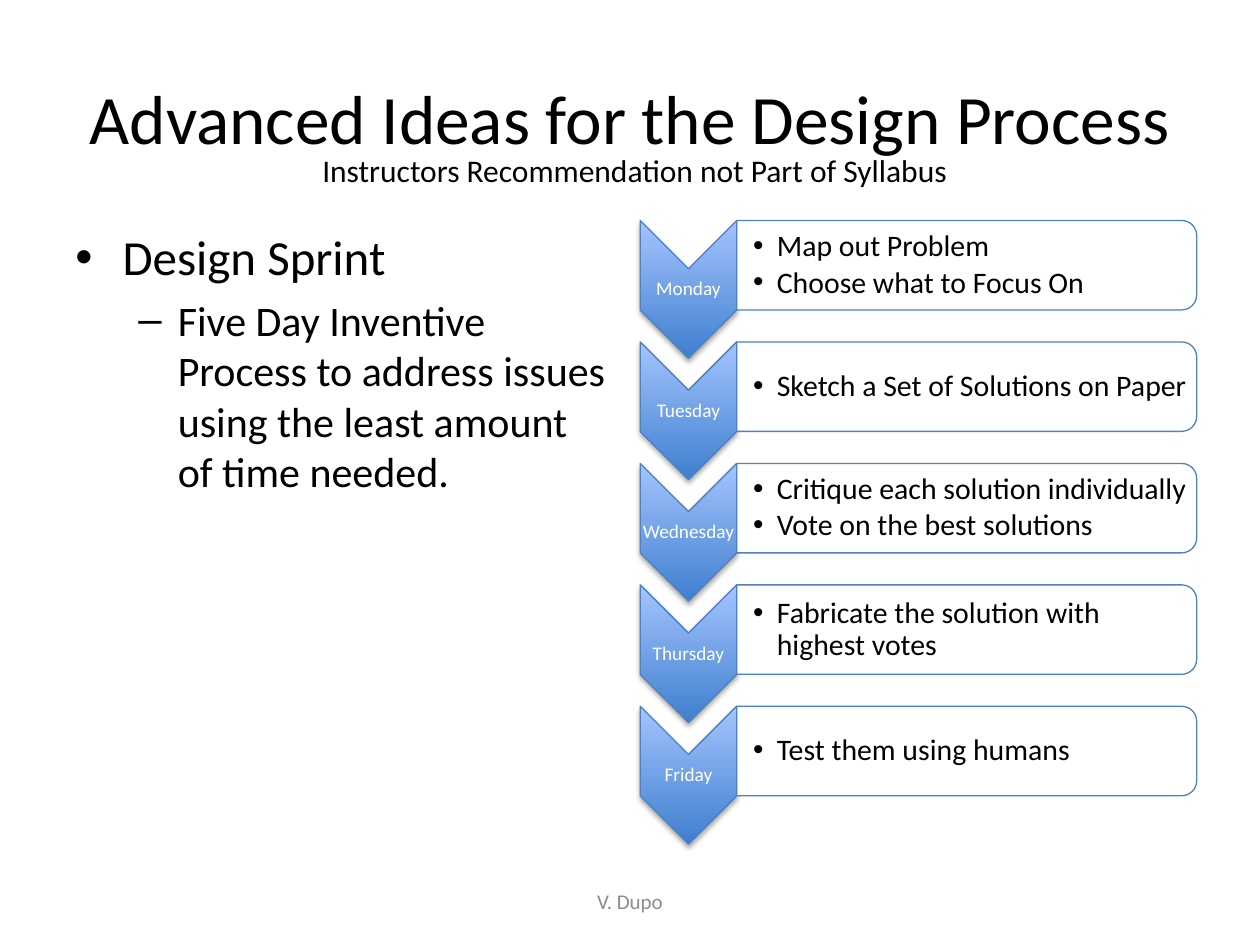
from pptx import Presentation
from pptx.dml.color import RGBColor
from pptx.enum.shapes import MSO_SHAPE
from pptx.enum.text import MSO_ANCHOR, PP_ALIGN
from pptx.oxml import parse_xml
from pptx.oxml.ns import nsdecls, qn
from pptx.util import Pt

CHEVRON = MSO_SHAPE.CHEVRON
CARD = MSO_SHAPE.ROUND_2_SAME_RECTANGLE
TOP, MIDDLE = MSO_ANCHOR.TOP, MSO_ANCHOR.MIDDLE
LEFT, CENTER = PP_ALIGN.LEFT, PP_ALIGN.CENTER

DAYS = [
    ("Monday", ["Map out Problem", "Choose what to Focus On"]),
    ("Tuesday", ["Sketch a Set of Solutions on Paper"]),
    ("Wednesday", ["Critique each solution individually",
                   "Vote on the best solutions"]),
    ("Thursday", ["Fabricate the solution with highest votes"]),
    ("Friday", ["Test them using humans"]),
]


def color(hex_code):
    return RGBColor.from_string(hex_code)


class Deck:
    font, ink, edge = "Calibri", "000000", "4F81BD"
    dark, light = "3F7FCE", "A4C4FF"

    def __init__(self):
        self.prs = Presentation()
        self.prs.slide_width, self.prs.slide_height = Pt(720), Pt(540)
        self.slide = self.prs.slides.add_slide(self.prs.slide_layouts[5])

    def style(self, para, size, ink=None, align=LEFT):
        para.alignment = align
        for run in para.runs:
            run.font.name, run.font.size = self.font, Pt(size)
            run.font.color.rgb = color(ink or self.ink)

    def title(self, text, x, y, w, h, size):
        shape = self.slide.shapes.title
        shape.left, shape.top, shape.width, shape.height = map(Pt, (x, y, w, h))
        frame = shape.text_frame
        frame.text = text
        frame.vertical_anchor = MIDDLE
        self.style(frame.paragraphs[0], size, align=CENTER)

    def text(self, lines, x, y, w, h, size, ink=None, align=LEFT,
             anchor=TOP, wrap=True, pads=None):
        box = self.slide.shapes.add_textbox(*map(Pt, (x, y, w, h)))
        frame = box.text_frame
        frame.word_wrap, frame.vertical_anchor = wrap, anchor
        if pads:
            frame.margin_left = Pt(pads[0])
            frame.margin_top = frame.margin_right = frame.margin_bottom = Pt(pads[1])
        frame.text = "\n".join(lines)
        for para in frame.paragraphs:
            self.style(para, size, ink, align)
        return frame.paragraphs

    def bullet(self, para, mark, left, hang):
        props = para._p.get_or_add_pPr()
        props.set("marL", str(Pt(left)))
        props.set("indent", str(-Pt(hang)))
        props.append(parse_xml(f'<a:buFont {nsdecls("a")} typeface="Arial"/>'))
        props.append(parse_xml(f'<a:buChar {nsdecls("a")} char="{mark}"/>'))

    def turned(self, kind, x, y, w, h):
        """Add a shape turned 90 degrees that covers the given area."""
        shape = self.slide.shapes.add_shape(
            kind, Pt(x + (w - h) / 2), Pt(y + (h - w) / 2), Pt(h), Pt(w))
        shape.rotation = 90
        shape.line.color.rgb, shape.line.width = color(self.edge), Pt(0.75)
        shape.shadow.inherit = False
        return shape

    def arrow(self, x, y, w, h):
        shape = self.turned(CHEVRON, x, y, w, h)
        shape.fill.gradient()
        shape.fill.gradient_angle = 90
        for stop, tone in zip(shape.fill.gradient_stops, (self.dark, self.light)):
            stop.color.rgb = color(tone)
        props = shape._element.spPr
        props.find(qn("a:gradFill")).set("rotWithShape", "0")
        props.find(qn("a:effectLst")).append(parse_xml(
            f'<a:outerShdw {nsdecls("a")} blurRad="{Pt(3.1)}" dist="{Pt(1.8)}" '
            'dir="5400000" rotWithShape="0"><a:srgbClr val="000000">'
            '<a:alpha val="35000"/></a:srgbClr></a:outerShdw>'))

    def card(self, x, y, w, h):
        shape = self.turned(CARD, x, y, w, h)
        shape.fill.solid()
        shape.fill.fore_color.rgb = color("FFFFFF")
        tone = shape._element.spPr.find(qn("a:solidFill"))[0]
        tone.append(parse_xml(f'<a:alpha {nsdecls("a")} val="90000"/>'))

    def day(self, name, tasks, y):
        x, w, high = 365.8, 55.2, 51.1
        self.arrow(x, y, w, 78.8)
        for para in self.text([name], x, y + 27.4, w, 24, 11, "FFFFFF",
                              CENTER, MIDDLE, pads=(0.7, 0.7)):
            para.line_spacing = 0.9
        self.card(x + w, y, 262.8, high)
        for para in self.text(tasks, x + w, y + 2.5, 260.6, 46.1, 17,
                              anchor=MIDDLE, pads=(9.4, 0.7)):
            self.bullet(para, "•", 13.5, 13.5)
            para.line_spacing, para.space_after = 0.9, Pt(2.5)


def main():
    deck = Deck()

    # Heading
    deck.title("Advanced Ideas for the Design Process", 36, 21.6, 648, 90, 39.6)

    # Left column
    head, note = deck.text(
        ["Design Sprint", "Five Day Inventive Process to address issues "
         "using the least amount of time needed."], 36, 126, 318.2, 356.4, 24)
    deck.bullet(head, "•", 27, 27)
    deck.style(head, 28)
    deck.bullet(note, "–", 58.5, 22.5)
    note.space_before = Pt(5)

    # Five days
    for row, (name, tasks) in enumerate(DAYS):
        deck.day(name, tasks, 126 + 69.4 * row)

    # Subtitle and footer
    deck.text(["Instructors Recommendation not Part of Syllabus"],
              177.1, 82.8, 377.3, 29, 18, wrap=False)
    deck.text(["V. Dupo"], 246, 500.5, 228, 28.8, 12, "8C8C8C", CENTER, MIDDLE)

    deck.prs.save("out.pptx")


if __name__ == "__main__":
    main()
